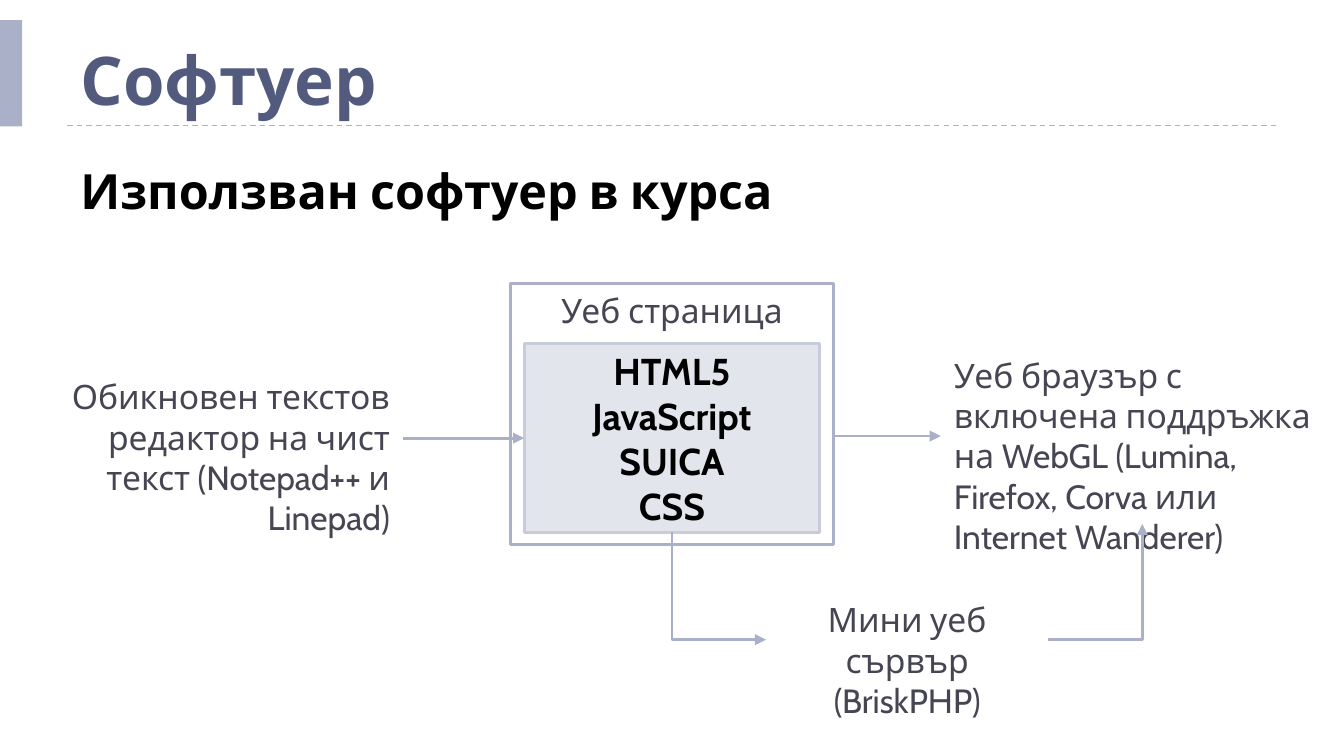
from lxml import etree
from pptx import Presentation
from pptx.dml.color import RGBColor
from pptx.enum import dml, shapes, text
from pptx.oxml import ns
from pptx.util import Pt

PX = 4572
FONT = "Cabin"
COLORS = {
    "accent": "AAB0C8",
    "rule": "9FB8CD",
    "title": "525B7E",
    "label": "464653",
    "black": "000000",
    "white": "FFFFFF",
    "panel": "E3E5ED",
    "panel_edge": "C7CBDA",
}
LEFT, CENTER, RIGHT = text.PP_ALIGN.LEFT, text.PP_ALIGN.CENTER, text.PP_ALIGN.RIGHT
TOP, MIDDLE, BOTTOM = text.MSO_ANCHOR.TOP, text.MSO_ANCHOR.MIDDLE, text.MSO_ANCHOR.BOTTOM


def px(*values):
    """Turn pixel lengths into EMU."""
    return [value * PX for value in values]


def color(name):
    """Look up a palette colour."""
    return RGBColor.from_string(COLORS[name])


def write(box, lines, size=18, tint="label", bold=False, align=LEFT, anchor=TOP):
    """Fill a shape with one formatted paragraph per line."""
    frame = box.text_frame
    frame.word_wrap = True
    frame.auto_size = text.MSO_AUTO_SIZE.NONE
    frame.vertical_anchor = anchor
    frame.text = "\n".join(lines)
    for para in frame.paragraphs:
        para.alignment = align
        for span in para.runs:
            span.font.name = FONT
            span.font.size = Pt(size)
            span.font.bold = bold
            span.font.color.rgb = color(tint)


def add_label(page, area, lines, **style):
    """Add a text box."""
    box = page.shapes.add_textbox(*px(*area))
    write(box, lines, **style)
    return box


def add_panel(page, area, fill, edge=None):
    """Add a flat rectangle with an optional outline."""
    panel = page.shapes.add_shape(shapes.MSO_SHAPE.RECTANGLE, *px(*area))
    panel.shadow.inherit = False
    panel.fill.solid()
    panel.fill.fore_color.rgb = color(fill)
    if edge:
        panel.line.color.rgb = color(edge)
        panel.line.width = Pt(1.5)
    else:
        panel.line.fill.background()
    return panel


def add_line(page, ends, kind=shapes.MSO_CONNECTOR.STRAIGHT, tint="accent", width=1.5, arrow=True):
    """Add a connector, with an arrowhead at its end by default."""
    line = page.shapes.add_connector(kind, *px(*ends))
    line.line.color.rgb = color(tint)
    line.line.width = Pt(width)
    if arrow:
        outline = line.line._get_or_add_ln()
        etree.SubElement(outline, ns.qn("a:tailEnd"), type="triangle")
    etree.SubElement(line._element.spPr, ns.qn("a:effectLst"))
    return line


def add_bend(page, ends, turn=0):
    """Add a one-corner arrow turned by whole degrees."""
    bend = add_line(page, ends, kind=shapes.MSO_CONNECTOR.ELBOW)
    properties = bend._element.spPr
    properties.find(ns.qn("a:prstGeom")).set("prst", "bentConnector2")
    if turn:
        properties.find(ns.qn("a:xfrm")).set("rot", str(turn * 60000))
    return bend


def add_heading(page):
    """Place the title with its rule and side bar."""
    rule = add_line(page, (100, 187, 1900, 187), tint="rule", width=0.75, arrow=False)
    rule.line.dash_style = dml.MSO_LINE.DASH
    add_panel(page, (0, 30, 33, 158), "accent")
    title = page.shapes.title
    title.left, title.top, title.width, title.height = px(100, 25, 1866, 162)
    write(title, ["Софтуер"], size=36, tint="title", bold=True, anchor=BOTTOM)
    add_label(page, (100, 230, 1866, 884), ["Използван софтуер в курса"],
              size=26, tint="black", bold=True)


def add_diagram(page):
    """Draw the web page, its tools and the arrows between them."""
    web_page = add_panel(page, (760, 422, 480, 388), "white", "accent")
    write(web_page, ["Уеб страница"], align=CENTER)
    languages = add_panel(page, (780, 511, 440, 282), "panel", "panel_edge")
    write(languages, ["HTML5", "JavaScript", "SUICA", "CSS"],
          size=20, tint="black", bold=True, align=CENTER, anchor=MIDDLE)

    browser = add_label(page, (1400, 518, 600, 262), [
        "Уеб браузър с включена поддръжка на WebGL "
        "(Lumina, Firefox, Corva или Internet Wanderer)"])
    editor = add_label(page, (34, 550, 566, 204), [
        "Обикновен текстов редактор на чист текст (Notepad++ и Linepad)"], align=RIGHT)
    add_label(page, (1140, 882, 420, 142), ["Мини уеб сървър", "(BriskPHP)"], align=CENTER)

    to_browser = add_line(page, (1240, 649, 1400, 649))
    to_browser.end_connect(browser, 1)
    to_page = add_line(page, (600, 652, 780, 652))
    to_page.begin_connect(editor, 3)
    to_page.end_connect(languages, 1)
    add_bend(page, (1150, 802, 990, 942), turn=270)
    add_bend(page, (1560, 952, 1700, 780))


def main():
    """Build and save the deck."""
    deck = Presentation()
    deck.slide_width, deck.slide_height = px(2000, 1125)
    page = deck.slides.add_slide(deck.slide_layouts[5])
    add_heading(page)
    add_diagram(page)
    deck.save("out.pptx")


if __name__ == "__main__":
    main()
